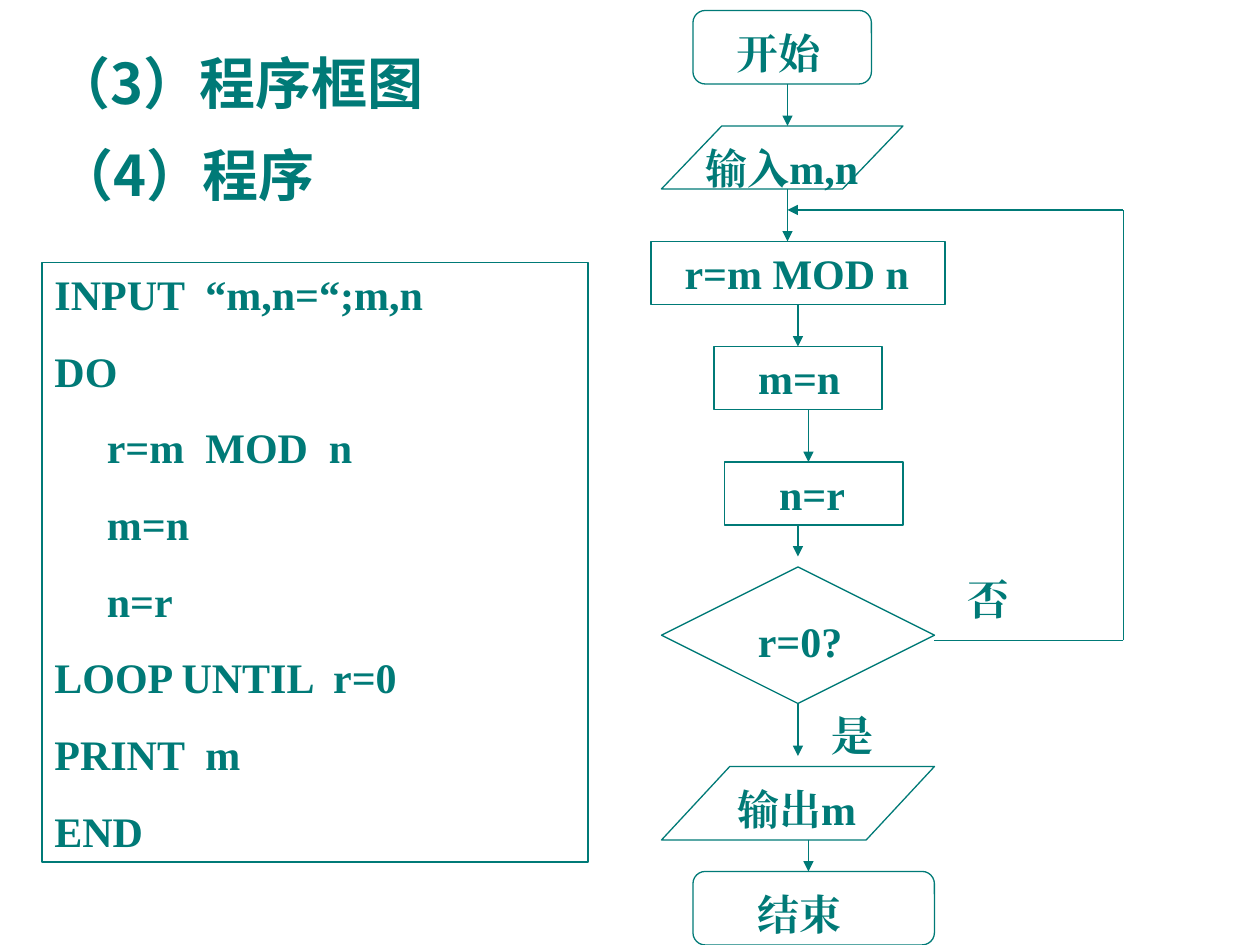
from dataclasses import dataclass
from lxml.etree import SubElement
from pptx import Presentation
from pptx.dml.color import RGBColor
from pptx.enum.shapes import MSO_CONNECTOR as Connector, MSO_SHAPE as Shape
from pptx.enum.text import MSO_ANCHOR as Anchor, PP_ALIGN as Align
from pptx.oxml.ns import qn
from pptx.util import Emu, Pt


@dataclass(frozen=True)
class Theme:
    color: RGBColor = RGBColor(0x00, 0x7A, 0x77)
    latin: str = "Times New Roman"
    chinese: str = "Noto Sans CJK SC"
    heading: int = 32
    body: int = 24
    line: float = 0.75
    leading: float = 1.2
    gap: int = 15


THEME = Theme()
PX = 7620
SLIDE = (1200, 900)

HEADINGS = [
    ("（3）程序框图", (40, 40, 510, 77)),
    ("（4）程序", (43, 128, 500, 77)),
]
CODE_BOX = (40, 250, 520, 571)
CODE = [
    "INPUT  “m,n=“;m,n",
    "DO",
    "     r=m  MOD  n",
    "     m=n",
    "     n=r",
    "LOOP UNTIL  r=0",
    "PRINT  m",
    "END",
]
OUTLINES = {
    "start": (Shape.ROUNDED_RECTANGLE, (660, 10, 170, 70), 0.167),
    "input": (Shape.PARALLELOGRAM, (630, 120, 230, 60), 0.958),
    "test": (Shape.DIAMOND, (630, 540, 260, 130), None),
    "output": (Shape.PARALLELOGRAM, (630, 730, 260, 70), 0.929),
    "end": (Shape.ROUNDED_RECTANGLE, (660, 830, 230, 70), 0.167),
}
STEPS = {
    "remainder": ("r=m MOD n", (620, 230, 280, 60), 20),
    "shift m": ("m=n", (680, 330, 160, 60), 30),
    "shift n": ("n=r", (690, 440, 170, 60), 40),
}
LABELS = [
    ("开始", (690, 20, 130, 60), 0),
    ("输入m,n", (660, 130, 180, 60), 0),
    ("r=0?", (710, 580, 190, 60), 0),
    ("是", (780, 670, 120, 60), 0),
    ("否", (910, 540, 140, 60), 0),
    ("输出m", (670, 740, 180, 60), 20),
    ("结束", (710, 840, 150, 60), 0),
]
FLOW = [
    (750, 80, 120, None, None),
    (750, 180, 230, None, None),
    (760, 290, 330, "remainder", "shift m"),
    (770, 390, 440, None, None),
    (760, 500, 530, None, None),
    (760, 670, 720, "test", None),
    (770, 800, 830, None, None),
]
LOOP = [(890, 610), (1070, 610), (1070, 200), (750, 200)]


def px(*values):
    return [Emu(value * PX) for value in values]


def write(shape, text, *, size=THEME.body, font=THEME.latin, indent=0):
    frame = shape.text_frame
    frame.word_wrap = True
    frame.vertical_anchor = Anchor.TOP
    frame.margin_left, frame.margin_right, frame.margin_top, frame.margin_bottom = px(12 + indent, 12, 6, 6)
    for index, line in enumerate(text.split("\n")):
        paragraph = frame.paragraphs[0] if index == 0 else frame.add_paragraph()
        paragraph.alignment = Align.LEFT
        paragraph.line_spacing = Pt(size * THEME.leading)
        if index:
            paragraph.space_before = Pt(THEME.gap)
        run = paragraph.add_run()
        run.text = line
        run.font.name = font
        run.font.size = Pt(size)
        run.font.bold = True
        run.font.color.rgb = THEME.color
        SubElement(run.font._element, qn("a:ea"), typeface=font)


def add_outline(slide, kind, box, adjustment=None):
    shape = slide.shapes.add_shape(kind, *px(*box))
    shape.shadow.inherit = False
    shape.fill.background()
    shape.line.color.rgb = THEME.color
    shape.line.width = Pt(THEME.line)
    if adjustment is not None:
        shape.adjustments[0] = adjustment
    return shape


def add_label(slide, text, box, **style):
    write(slide.shapes.add_textbox(*px(*box)), text, **style)


def add_line(slide, start, end, arrow=True):
    connector = slide.shapes.add_connector(Connector.STRAIGHT, *px(*start, *end))
    connector.line.color.rgb = THEME.color
    connector.line.width = Pt(THEME.line)
    if arrow:
        SubElement(connector.line._get_or_add_ln(), qn("a:tailEnd"), type="triangle")
    SubElement(connector._element.spPr, qn("a:effectLst"))
    return connector


def main():
    presentation = Presentation()
    presentation.slide_width, presentation.slide_height = px(*SLIDE)
    slide = presentation.slides.add_slide(presentation.slide_layouts[6])

    for text, box in HEADINGS:
        add_label(slide, text, box, size=THEME.heading, font=THEME.chinese)
    write(add_outline(slide, Shape.RECTANGLE, CODE_BOX), "\n".join(CODE))

    nodes = {name: add_outline(slide, *outline) for name, outline in OUTLINES.items()}
    for name, (text, box, indent) in STEPS.items():
        nodes[name] = add_outline(slide, Shape.RECTANGLE, box)
        write(nodes[name], text, indent=indent)
    for text, box, indent in LABELS:
        add_label(slide, text, box, indent=indent)

    for x, top, bottom, source, target in FLOW:
        connector = add_line(slide, (x, top), (x, bottom))
        if source:
            connector.begin_connect(nodes[source], 2)
        if target:
            connector.end_connect(nodes[target], 0)
    for start, end in zip(LOOP, LOOP[1:]):
        add_line(slide, start, end, arrow=end == LOOP[-1])

    presentation.save("out.pptx")


if __name__ == "__main__":
    main()
